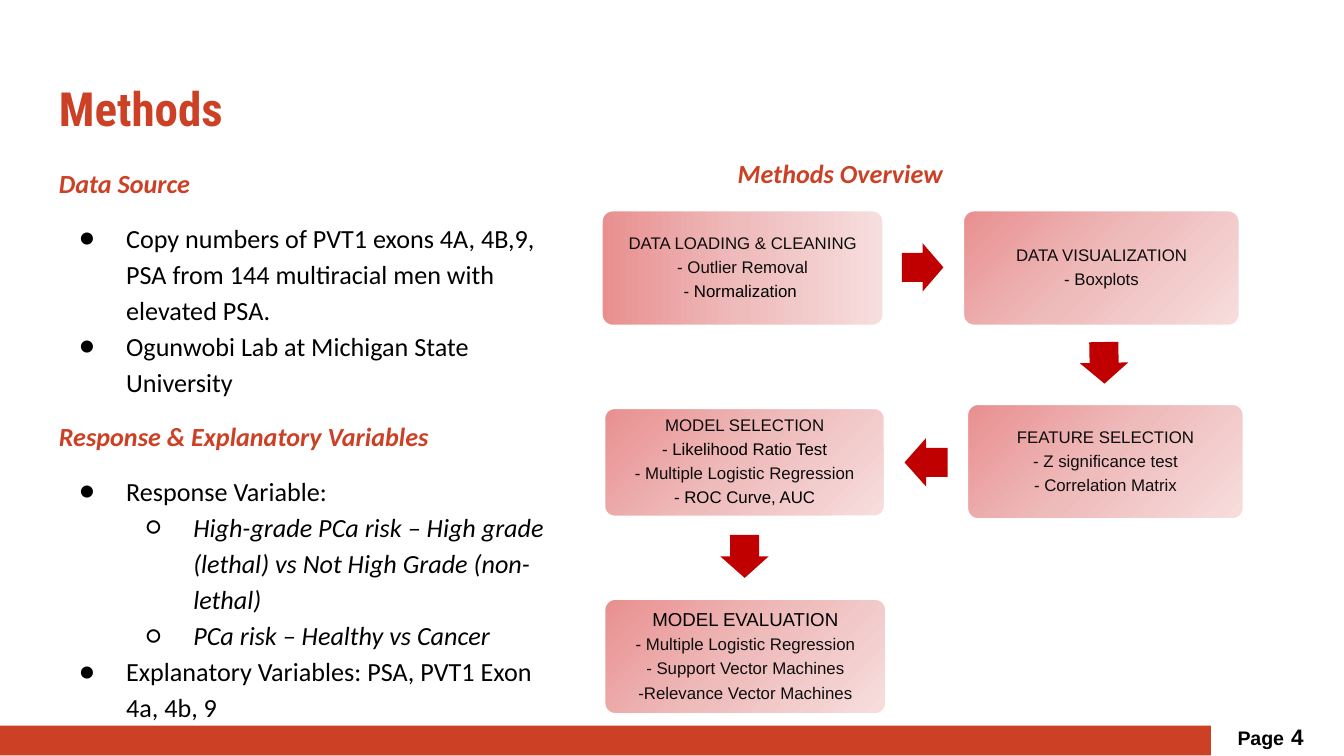
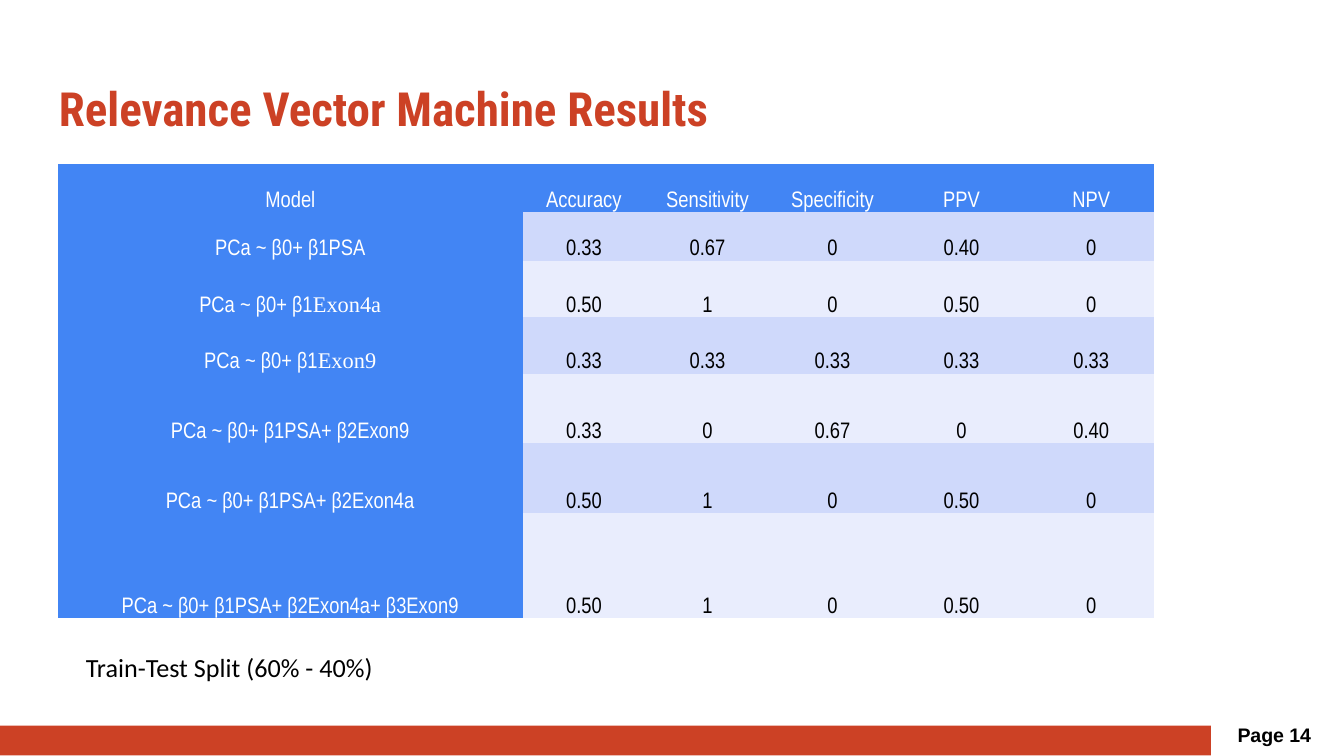
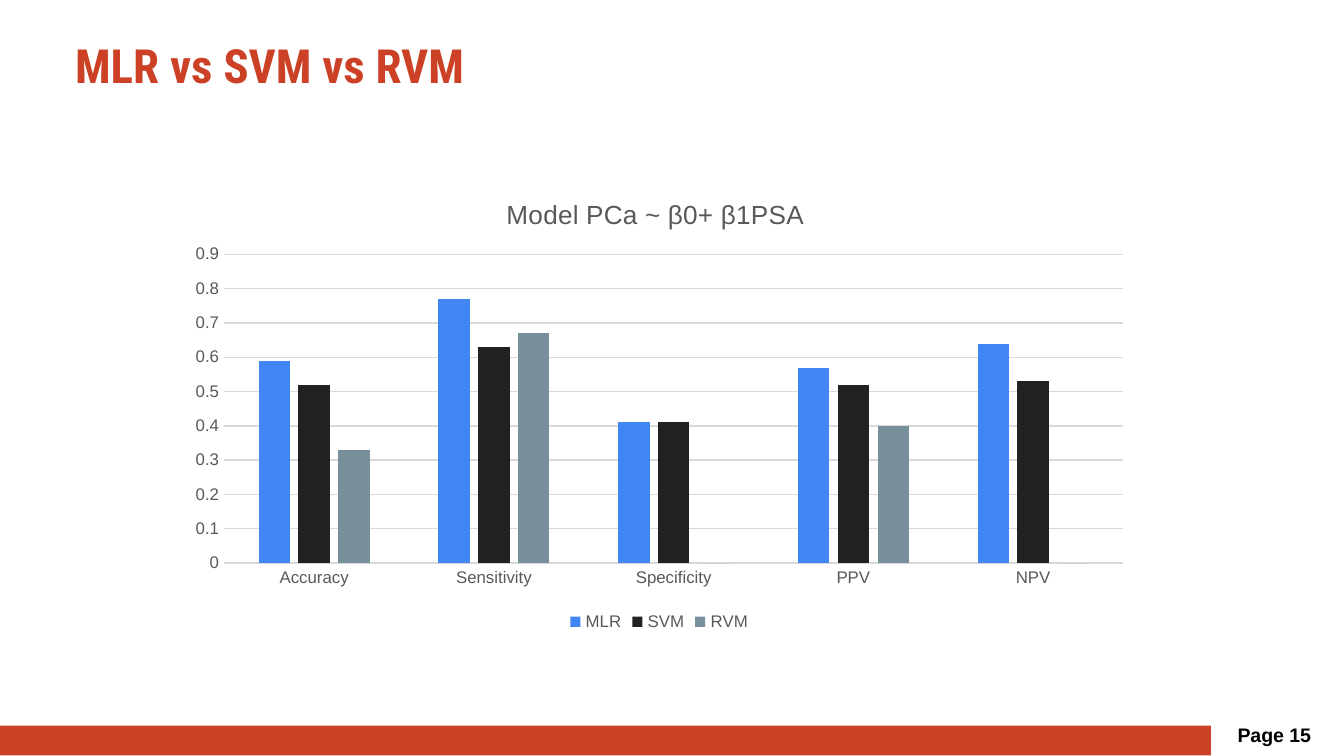
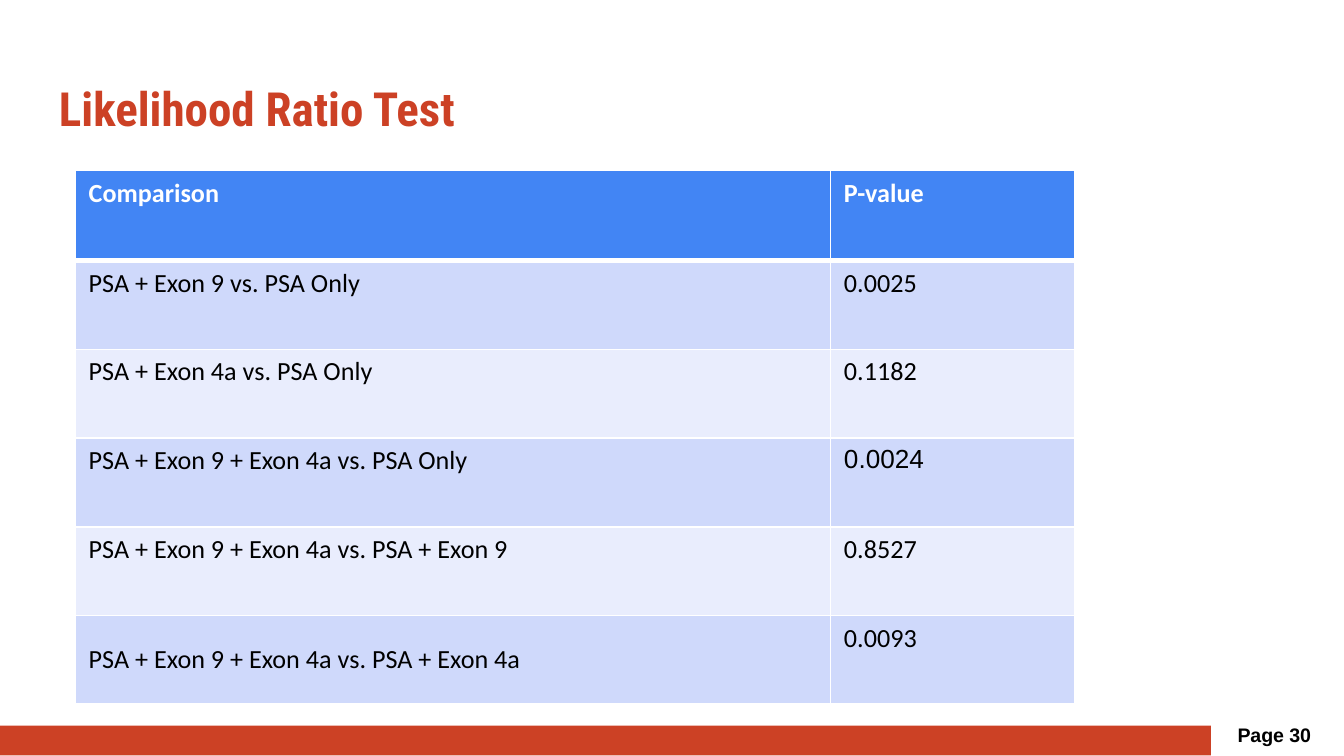
from copy import deepcopy
from dataclasses import dataclass, field, replace
from typing import NamedTuple

from lxml.etree import SubElement
from pptx import Presentation
from pptx.chart.data import CategoryChartData
from pptx.dml.color import RGBColor
from pptx.enum.chart import XL_CHART_TYPE, XL_LEGEND_POSITION, XL_TICK_MARK
from pptx.enum.shapes import MSO_SHAPE
from pptx.enum.text import MSO_ANCHOR, MSO_AUTO_SIZE, PP_ALIGN
from pptx.oxml import parse_xml
from pptx.oxml.ns import nsdecls, qn
from pptx.util import Inches, Pt

RED = RGBColor(0xCC, 0x41, 0x25)
ARROW_RED = RGBColor(0xC0, 0x00, 0x00)
PINKS = (RGBColor(0xE9, 0x8F, 0x8F), RGBColor(0xEF, 0xBC, 0xBC), RGBColor(0xF7, 0xDE, 0xDE))
BLACK = RGBColor(0x00, 0x00, 0x00)
NEAR_BLACK = RGBColor(0x0D, 0x0D, 0x0D)
CHARCOAL = RGBColor(0x21, 0x21, 0x21)
SLATE = RGBColor(0x78, 0x90, 0x9C)
GRAY = RGBColor(0x59, 0x59, 0x59)
GRID_GRAY = RGBColor(0xD9, 0xD9, 0xD9)
WHITE = RGBColor(0xFF, 0xFF, 0xFF)
BLUE = RGBColor(0x42, 0x85, 0xF4)
BANDS = (RGBColor(0xCF, 0xD9, 0xFB), RGBColor(0xE9, 0xED, 0xFD))

PLAIN_TABLE = "{2D5ABB26-0587-4C30-8999-92F81FD0307C}"


class Area(NamedTuple):
    """Left, top, width and height in inches."""
    left: float
    top: float
    width: float
    height: float

    def lengths(self) -> tuple:
        return tuple(Inches(value) for value in self)

    def inset(self, gap: float) -> "Area":
        return Area(self.left + gap, self.top + gap, self.width - 2 * gap, self.height - 2 * gap)


@dataclass(frozen=True)
class Style:
    font: str
    size: float
    color: RGBColor = BLACK
    bold: bool = False
    italic: bool = False


@dataclass(frozen=True)
class Span:
    """A run that may differ from its paragraph."""
    text: str
    font: str | None = None
    size: float | None = None
    color: RGBColor | None = None


@dataclass(frozen=True)
class Para:
    content: str | tuple[Span, ...]
    style: Style
    align: PP_ALIGN = PP_ALIGN.LEFT
    line: float | None = None
    before: float = 0
    after: float = 0
    bullet: str = ""
    level: int = 0


@dataclass(frozen=True)
class Step:
    area: Area
    lines: tuple[str | tuple[Span, ...], ...]
    angle: int = 45
    title_style: Style = Style("Arial", 9, NEAR_BLACK)


class Arrow(NamedTuple):
    area: Area
    rotation: float


@dataclass(frozen=True)
class Grid:
    area: Area
    columns: tuple[float, ...]
    rows: tuple[float, ...]
    cells: list[list[Para]] = field(default_factory=list)


TITLE = Style("Roboto Condensed", 25.2, RED, bold=True)
PAGE_NUMBER = Style("Arial", 10.5, bold=True)
HEADING = Style("Calibri", 14, RED, bold=True, italic=True)
BODY = Style("Calibri", 14)
BODY_ITALIC = replace(BODY, italic=True)
STEP_TEXT = Style("Arial", 9, NEAR_BLACK)
TITLE_AREA = Area(0.34, 0.49, 9.32, 0.63)


# Text
def set_font(font, style: Style | Span) -> None:
    if style.font:
        font.name = style.font
    if style.size:
        font.size = Pt(style.size)
    if style.color is not None:
        font.color.rgb = style.color
    if isinstance(style, Style):
        font.bold = style.bold
        font.italic = style.italic


def set_bullet(paragraph, mark: str, level: int, font: str) -> None:
    properties = paragraph._p.get_or_add_pPr()
    properties.set("marL", str(Inches(0.5 * (level + 1))))
    properties.set("indent", str(Inches(-0.35)))
    color = SubElement(properties, qn("a:buClr"))
    SubElement(color, qn("a:srgbClr")).set("val", str(BLACK))
    SubElement(properties, qn("a:buFont")).set("typeface", font)
    SubElement(properties, qn("a:buChar")).set("char", mark)


def write_para(paragraph, para: Para) -> None:
    paragraph.level = para.level
    if para.bullet:
        set_bullet(paragraph, para.bullet, para.level, para.style.font)
    paragraph.alignment = para.align
    paragraph.space_before = Pt(para.before)
    paragraph.space_after = Pt(para.after)
    if para.line:
        paragraph.line_spacing = para.line
    set_font(paragraph.font, para.style)
    spans = (Span(para.content),) if isinstance(para.content, str) else para.content
    for span in spans:
        run = paragraph.add_run()
        run.text = span.text
        set_font(run.font, span)


def set_margins(target, left: float, top: float, right: float, bottom: float) -> None:
    target.margin_left, target.margin_top = Inches(left), Inches(top)
    target.margin_right, target.margin_bottom = Inches(right), Inches(bottom)


def add_text(page, area: Area, paras: list[Para], margin: float = 0.1,
             anchor: MSO_ANCHOR = MSO_ANCHOR.TOP):
    box = page.shapes.add_textbox(*area.lengths())
    frame = box.text_frame
    frame.word_wrap = True
    frame.vertical_anchor = anchor
    set_margins(frame, margin, margin, margin, margin)
    for index, para in enumerate(paras):
        write_para(frame.add_paragraph() if index else frame.paragraphs[0], para)
    return box


# Shapes
def add_block(page, kind: MSO_SHAPE, area: Area, color: RGBColor | None = None):
    shape = page.shapes.add_shape(kind, *area.lengths())
    shape.shadow.inherit = False
    shape.line.fill.background()
    if color is not None:
        shape.fill.solid()
        shape.fill.fore_color.rgb = color
    return shape


def fill_gradient(shape, angle: int) -> None:
    shape.fill.gradient()
    shape.fill.gradient_angle = -angle % 360
    stop_list = shape._element.spPr.find(".//" + qn("a:gsLst"))
    stop_list.insert(1, deepcopy(stop_list[0]))
    for index, (stop, color) in enumerate(zip(shape.fill.gradient_stops, PINKS)):
        stop.position = index / 2
        stop.color.rgb = color


def add_step(page, step: Step) -> None:
    card = add_block(page, MSO_SHAPE.ROUNDED_RECTANGLE, step.area)
    card.adjustments[0] = 0.1
    fill_gradient(card, step.angle)
    card.line.color.rgb = WHITE
    card.line.width = Pt(2)
    paras = [Para(line, STEP_TEXT if index else step.title_style, PP_ALIGN.CENTER,
                  line=0.9, after=3.15) for index, line in enumerate(step.lines)]
    add_text(page, step.area.inset(0.03), paras, 0.04, MSO_ANCHOR.MIDDLE)


def add_arrow(page, arrow: Arrow) -> None:
    shape = add_block(page, MSO_SHAPE.RIGHT_ARROW, arrow.area, ARROW_RED)
    shape.adjustments[0], shape.adjustments[1] = 0.6, 0.5
    shape.rotation = arrow.rotation


# Tables
def add_grid(page, grid: Grid):
    table = page.shapes.add_table(len(grid.rows), len(grid.columns), *grid.area.lengths()).table
    table._tbl.tblPr.find(qn("a:tableStyleId")).text = PLAIN_TABLE
    table.horz_banding = False
    for column, width in zip(table.columns, grid.columns):
        column.width = Inches(width)
    for row, height in zip(table.rows, grid.rows):
        row.height = Inches(height)
    for row_index, paras in enumerate(grid.cells):
        for column_index, para in enumerate(paras):
            cell = table.cell(row_index, column_index)
            cell.fill.solid()
            cell.fill.fore_color.rgb = BANDS[(row_index - 1) % 2] if row_index else BLUE
            write_para(cell.text_frame.paragraphs[0], para)
    return table


def set_borders(cell, bottom: float, top: float) -> None:
    properties = cell._tc.get_or_add_tcPr()
    widths = {"lnL": 1, "lnR": 1, "lnT": top, "lnB": bottom}
    for index, (side, width) in enumerate(widths.items()):
        properties.insert(index, parse_xml(
            f'<a:{side} {nsdecls("a")} w="{Pt(width)}"><a:solidFill>'
            f'<a:srgbClr val="{WHITE}"/></a:solidFill></a:{side}>'))


# Frame shared by all pages
def add_page(deck, title: str, number: str | tuple[Span, ...], title_area: Area = TITLE_AREA):
    page = deck.slides.add_slide(deck.slide_layouts[6])
    add_text(page, title_area, [Para(title, TITLE)])
    add_block(page, MSO_SHAPE.RECTANGLE, Area(0, 5.4, 9.01, 0.22), RED)
    add_text(page, Area(9.11, 5.34, 0.77, 0.37),
             [Para(number, PAGE_NUMBER, line=0.8, after=12)])
    return page


def build_methods(deck) -> None:
    page = add_page(deck, "Methods", (Span("Page "), Span(" ", size=3), Span("4", size=12)))
    paras = [
        Para("Data Source", HEADING),
        Para("Copy numbers of PVT1 exons 4A, 4B,9, PSA from 144 multiracial men with "
             "elevated PSA.", BODY, before=10, bullet="●"),
        Para("Ogunwobi Lab at Michigan State University", BODY, bullet="●"),
        Para("Response & Explanatory Variables", HEADING, before=10),
        Para("Response Variable:", BODY, before=10, bullet="●"),
        Para("High-grade PCa risk – High grade (lethal) vs Not High Grade (non-lethal)",
             BODY_ITALIC, bullet="○", level=1),
        Para("PCa risk – Healthy vs Cancer", BODY_ITALIC, bullet="○", level=1),
        Para("Explanatory Variables: PSA, PVT1 Exon 4a, 4b, 9", BODY, bullet="●"),
    ]
    add_text(page, Area(0.34, 1.11, 3.84, 3.87), [replace(para, line=1.15) for para in paras])
    add_text(page, Area(5.39, 1.04, 3.99, 3.74), [Para("Methods Overview", HEADING, line=1.15)])

    regression = (Span("- ", color=BLACK), Span("Multiple Logistic Regression"))
    steps = [
        Step(Area(4.47, 1.56, 2.11, 0.87),
             ("DATA LOADING & CLEANING", "- Outlier Removal",
              (Span("- Normalization ", color=BLACK),)), angle=0),
        Step(Area(7.16, 1.56, 2.07, 0.87), ("DATA VISUALIZATION", "- Boxplots")),
        Step(Area(7.19, 3, 2.07, 0.87),
             ("FEATURE SELECTION", "- Z significance test", "- Correlation Matrix")),
        Step(Area(4.49, 3.03, 2.1, 0.82),
             ("MODEL SELECTION", (Span("- Likelihood Ratio Test", color=BLACK),), regression,
              (Span("- ROC Curve, AUC", color=BLACK),))),
        Step(Area(4.49, 4.45, 2.11, 0.87),
             ("MODEL EVALUATION", regression, "- Support Vector Machines",
              "-Relevance Vector Machines"), title_style=Style("Arial", 10)),
    ]
    arrows = [
        Arrow(Area(6.71, 1.81, 0.31, 0.36), 0),
        Arrow(Area(8.06, 2.52, 0.31, 0.36), 89),
        Arrow(Area(6.73, 3.26, 0.32, 0.36), 179.9),
        Arrow(Area(5.38, 3.96, 0.32, 0.36), 89.7),
    ]
    for step in steps:
        add_step(page, step)
    for arrow in arrows:
        add_arrow(page, arrow)


def build_results(deck) -> None:
    page = add_page(deck, "Relevance Vector Machine Results", "Page 14")
    rows = [
        ("Model", "Accuracy", "Sensitivity", "Specificity", "PPV", "NPV"),
        ("PCa ~ β0+ β1PSA", "0.33", "0.67", "0", "0.40", "0"),
        ((Span("PCa ~ β0+ β1"), Span("Exon4a", font="Times New Roman")),
         "0.50", "1", "0", "0.50", "0"),
        ((Span("PCa ~ β0+ β1"), Span("Exon9", font="Times New Roman")),
         "0.33", "0.33", "0.33", "0.33", "0.33"),
        ("PCa ~ β0+ β1PSA+ β2Exon9", "0.33", "0", "0.67", "0", "0.40"),
        ("PCa ~ β0+ β1PSA+ β2Exon4a", "0.50", "1", "0", "0.50", "0"),
        ("PCa ~ β0+ β1PSA+ β2Exon4a+ β3Exon9", "0.50", "1", "0", "0.50", "0"),
    ]
    value = Style("Arial Narrow", 12)
    label = replace(value, color=WHITE)
    cells = [[Para(content, value if row and column else label, PP_ALIGN.CENTER)
              for column, content in enumerate(contents)] for row, contents in enumerate(rows)]
    table = add_grid(page, Grid(Area(0.43, 1.22, 8.15, 3.39),
                                (3.46, 0.91, 0.93, 0.93, 0.99, 0.94),
                                (0.36, 0.36, 0.42, 0.42, 0.52, 0.52, 0.78), cells))
    table.first_col = True
    for cell in table.iter_cells():
        cell.vertical_anchor = MSO_ANCHOR.BOTTOM
        set_margins(cell, 0.01, 0.01, 0.01, 0)
    for row in range(len(rows)):
        table.cell(row, 0).fill.fore_color.rgb = BLUE

    note = add_text(page, Area(0.54, 4.8, 2.39, 0.34),
                    [Para("Train-Test Split (60% - 40%)", BODY)])
    set_margins(note.text_frame, 0.1, 0.05, 0.1, 0.05)
    note.text_frame.word_wrap = False
    note.text_frame.auto_size = MSO_AUTO_SIZE.SHAPE_TO_FIT_TEXT


def place_plot(chart, area: Area) -> None:
    """Fix the inner plot area, in fractions of the chart."""
    plot_area = chart._chartSpace.chart.plotArea
    for old in plot_area.findall(qn("c:layout")):
        plot_area.remove(old)
    values = "".join(f'<c:{name} val="{value}"/>' for name, value in zip("xywh", area))
    plot_area.insert(0, parse_xml(
        f'<c:layout {nsdecls("c")}><c:manualLayout><c:layoutTarget val="inner"/>'
        f'<c:xMode val="edge"/><c:yMode val="edge"/>{values}</c:manualLayout></c:layout>'))


def build_comparison(deck) -> None:
    page = add_page(deck, "MLR vs SVM vs RVM", "Page 15", Area(0.46, 0.17, 9.32, 0.63))
    series_data = [
        ("MLR", (0.59, 0.77, 0.41, 0.57, 0.64), BLUE),
        ("SVM", (0.52, 0.63, 0.41, 0.52, 0.53), CHARCOAL),
        ("RVM", (0.33, 0.67, 0, 0.4, 0), SLATE),
    ]
    data = CategoryChartData()
    data.categories = ["Accuracy", "Sensitivity", "Specificity", "PPV", "NPV"]
    for name, values, _ in series_data:
        data.add_series(name, values)
    chart = page.shapes.add_chart(XL_CHART_TYPE.COLUMN_CLUSTERED,
                                  *Area(1.31, 1.31, 7.19, 3.43).lengths(), data).chart
    set_font(chart.font, Style("Arial", 10))
    chart.has_title = True
    write_para(chart.chart_title.text_frame.paragraphs[0],
               Para("Model PCa ~ β0+ β1PSA ", Style("Arial", 14, GRAY), PP_ALIGN.CENTER))
    chart.chart_title.include_in_layout = False
    place_plot(chart, Area(0.05, 0.17, 0.93, 0.67))

    # Columns
    plot = chart.plots[0]
    plot.gap_width, plot.overlap = 219, -27
    plot.vary_by_categories = False
    for series, (_, _, color) in zip(plot.series, series_data):
        series.format.fill.solid()
        series.format.fill.fore_color.rgb = color

    # Axes and legend
    small = Style("Arial", 9, GRAY)
    for axis in (chart.category_axis, chart.value_axis):
        axis.major_tick_mark = axis.minor_tick_mark = XL_TICK_MARK.NONE
        set_font(axis.tick_labels.font, small)
    values_axis = chart.value_axis
    values_axis.minimum_scale, values_axis.maximum_scale = 0, 0.9
    values_axis.major_unit = 0.1
    values_axis.format.line.fill.background()
    for line in (chart.category_axis.format.line, values_axis.major_gridlines.format.line):
        line.color.rgb = GRID_GRAY
        line.width = Pt(0.75)
    chart.has_legend = True
    chart.legend.position = XL_LEGEND_POSITION.BOTTOM
    chart.legend.include_in_layout = False
    set_font(chart.legend.font, small)


def build_ratio_test(deck) -> None:
    page = add_page(deck, "Likelihood Ratio Test", "Page 30")
    rows = [
        ("Comparison", "P-value"),
        ("PSA + Exon 9 vs. PSA Only", "0.0025"),
        ("PSA + Exon 4a vs. PSA Only", "0.1182"),
        ("PSA + Exon 9 + Exon 4a vs. PSA Only", (Span("0.0024", font="Arial"),)),
        ("PSA + Exon 9 + Exon 4a vs. PSA + Exon 9", "0.8527"),
        ("PSA + Exon 9 + Exon 4a vs. PSA + Exon 4a", "0.0093"),
    ]
    header = replace(BODY, color=WHITE, bold=True)
    cells = [[Para(content, BODY if row else header) for content in contents]
             for row, contents in enumerate(rows)]
    table = add_grid(page, Grid(Area(0.56, 1.27, 7.43, 3.97), (5.62, 1.82),
                                (0.67,) + (0.66,) * 5, cells))
    for row in range(len(rows)):
        for column in range(2):
            set_borders(table.cell(row, column), bottom=1 if row else 3, top=3 if row == 1 else 1)
    table.cell(len(rows) - 1, 0).vertical_anchor = MSO_ANCHOR.MIDDLE


def main() -> None:
    deck = Presentation()
    # Widescreen, 16:9
    deck.slide_width = Inches(10)
    deck.slide_height = Inches(10 * 9 / 16)
    build_methods(deck)
    build_results(deck)
    build_comparison(deck)
    build_ratio_test(deck)
    deck.save("out.pptx")


if __name__ == "__main__":
    main()
